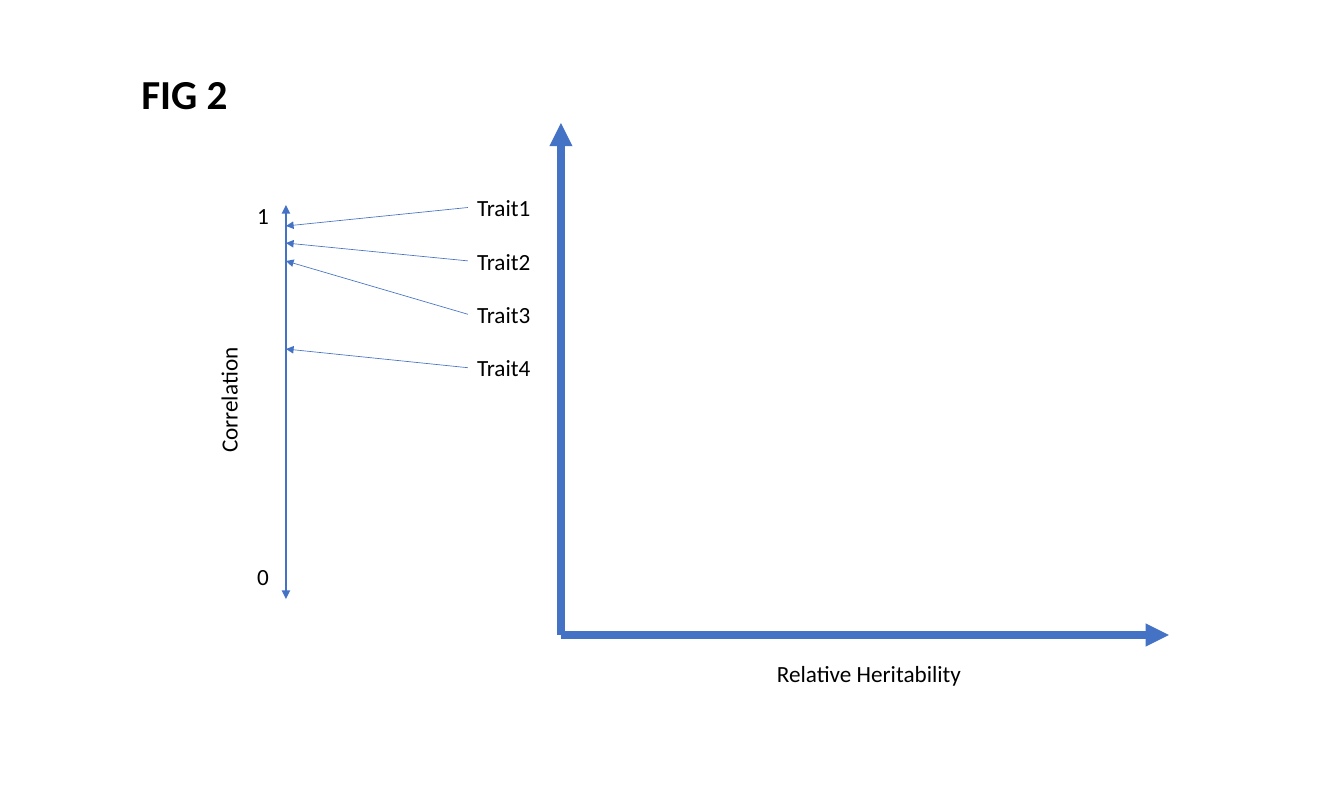
from lxml import etree
from pptx import Presentation
from pptx.dml.color import RGBColor
from pptx.enum.shapes import MSO_CONNECTOR
from pptx.enum.text import MSO_ANCHOR, MSO_AUTO_SIZE, PP_ALIGN
from pptx.oxml.ns import qn
from pptx.util import Inches, Pt

STRAIGHT = MSO_CONNECTOR.STRAIGHT
TOP = MSO_ANCHOR.TOP
LEFT = PP_ALIGN.LEFT
NO_AUTOFIT = MSO_AUTO_SIZE.NONE

BLUE = RGBColor(0x44, 0x72, 0xC4)
BLACK = RGBColor(0, 0, 0)
FONT = "Calibri"
TITLE_LAYOUT = 5
EMU_PER_PIXEL = Inches(1) / 92.7
LABEL_WIDTH, LABEL_HEIGHT = 273, 37
TRAIT_ARROW_ENDS = (226, 243, 261, 349)


def emu(pixels):
    """Turn pixels into EMU."""
    return round(pixels * EMU_PER_PIXEL)


def write_text(shape, text, size, bold=False):
    """Write one left-aligned run at the top of a shape."""
    frame = shape.text_frame
    frame.word_wrap = True
    frame.auto_size = NO_AUTOFIT
    frame.vertical_anchor = TOP
    paragraph = frame.paragraphs[0]
    paragraph.alignment = LEFT
    run = paragraph.add_run()
    run.text = text
    run.font.name = FONT
    run.font.size = Pt(size)
    run.font.bold = bold
    run.font.color.rgb = BLACK


def add_label(slide, text, left, top, width=LABEL_WIDTH, rotation=0):
    """Add an 18-point label."""
    label = slide.shapes.add_textbox(
        emu(left), emu(top), emu(width), emu(LABEL_HEIGHT))
    label.rotation = rotation
    write_text(label, text, 18)


def add_arrow(slide, start, end, weight, both_ends=False):
    """Add a blue arrow that points at its end, or at both ends."""
    arrow = slide.shapes.add_connector(
        STRAIGHT, *(emu(length) for length in (*start, *end)))
    arrow.line.color.rgb = BLUE
    arrow.line.width = Pt(weight)
    line = arrow.line._get_or_add_ln()
    for tag in ("a:headEnd", "a:tailEnd") if both_ends else ("a:tailEnd",):
        etree.SubElement(line, qn(tag), type="triangle")
    etree.SubElement(arrow._element.spPr, qn("a:effectLst"))


def add_title(slide, left, top, width, height):
    """Place the figure title."""
    title = slide.shapes.title
    title.left, title.top = emu(left), emu(top)
    title.width, title.height = emu(width), emu(height)
    write_text(title, "FIG 2", 32, bold=True)


def add_heritability_axes(slide, left, top, width, height):
    """Draw the two thick axes and the name of the horizontal one."""
    origin = (left, top + height)
    add_arrow(slide, origin, (left, top), 6)
    add_arrow(slide, origin, (left + width, top + height), 6)
    add_label(slide, "Relative Heritability", left + 207, top + height + 20)


def add_correlation_scale(slide, left, top, height):
    """Draw the scale from 1 to 0 with its name turned upright."""
    add_arrow(slide, (left, top), (left, top + height), 2.25, both_ends=True)
    add_label(slide, "1", left - 38, top - 8, width=30)
    add_label(slide, "0", left - 38, top + height - 41, width=30)
    add_label(slide, "Correlation", left - 194, top + 102, rotation=270)


def add_traits(slide, left, top, pitch, scale_left):
    """List the traits, each with an arrow to its place on the scale."""
    for index, arrow_end in enumerate(TRAIT_ARROW_ENDS):
        row_top = top + index * pitch
        add_label(slide, f"Trait{index + 1}", left, row_top)
        add_arrow(slide, (left, row_top + LABEL_HEIGHT / 2),
                  (scale_left, arrow_end), 0.5)


def main():
    """Build and save the slide."""
    presentation = Presentation()
    presentation.slide_width = Inches(14.5)
    presentation.slide_height = Inches(8.5)
    slide = presentation.slides.add_slide(
        presentation.slide_layouts[TITLE_LAYOUT])
    scale_left = 286
    add_title(slide, 132, 64, 672, 59)
    add_heritability_axes(slide, 561, 123, 608, 512)
    add_correlation_scale(slide, scale_left, 205, 394)
    add_traits(slide, 468, 189, 53.4, scale_left)
    presentation.save("out.pptx")


main()
